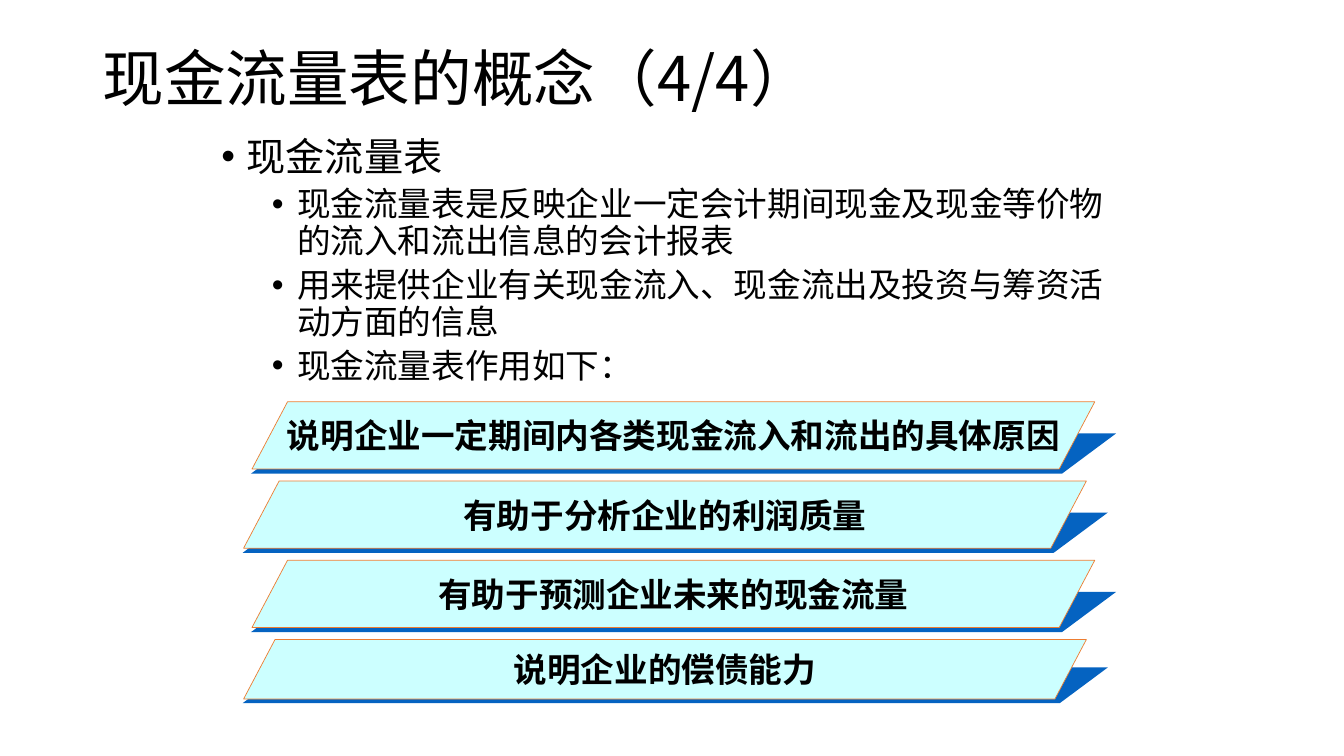
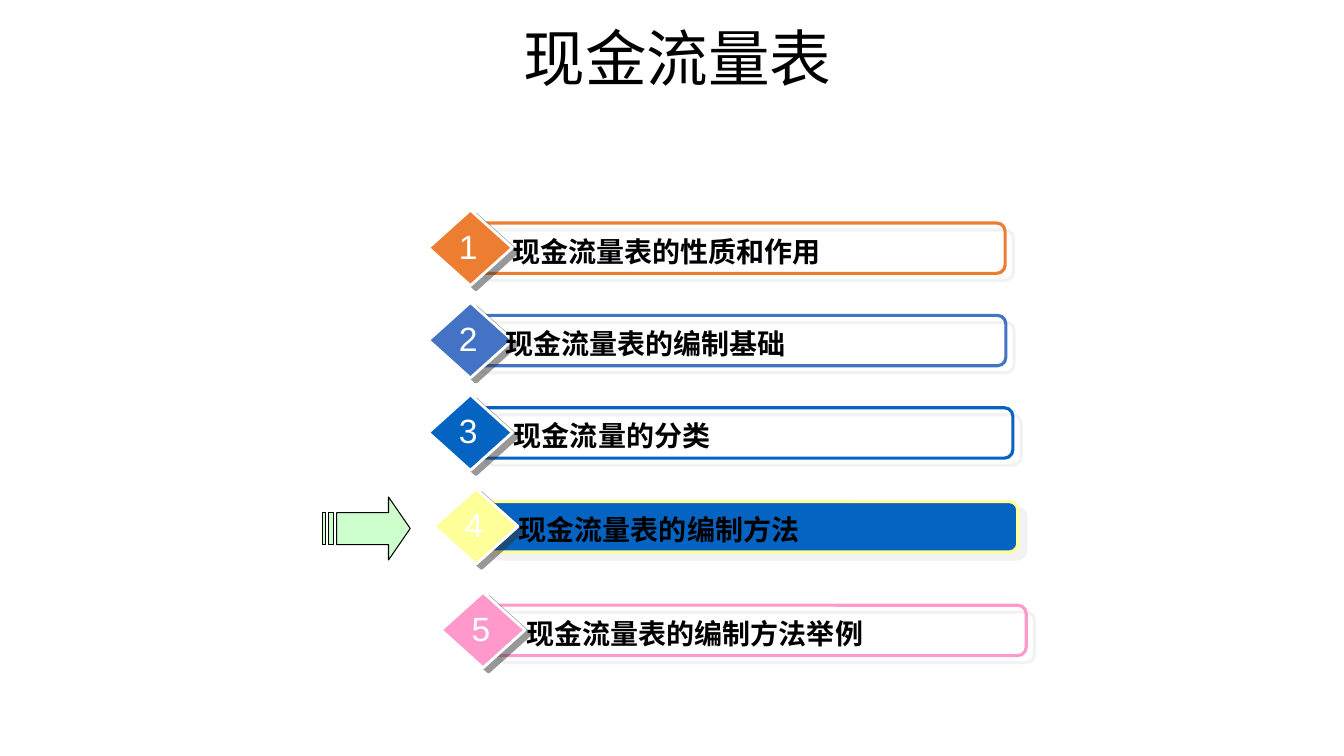
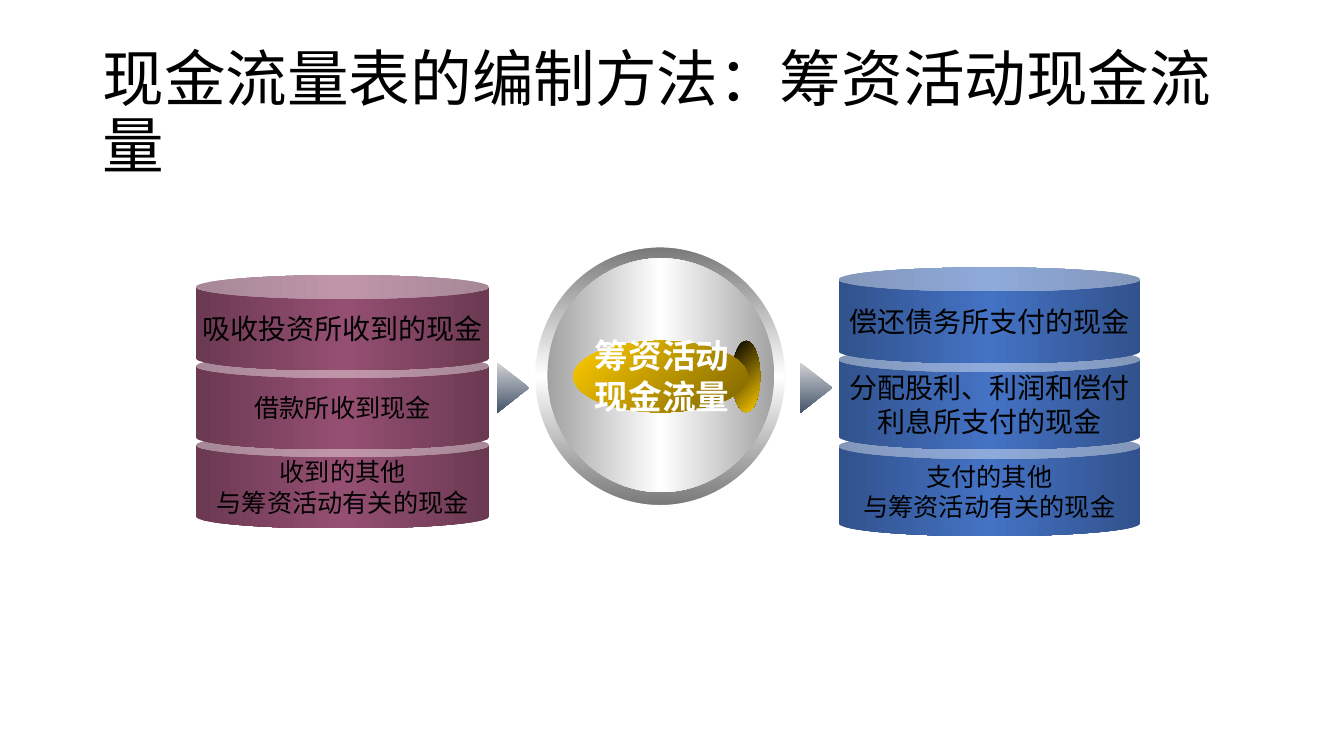
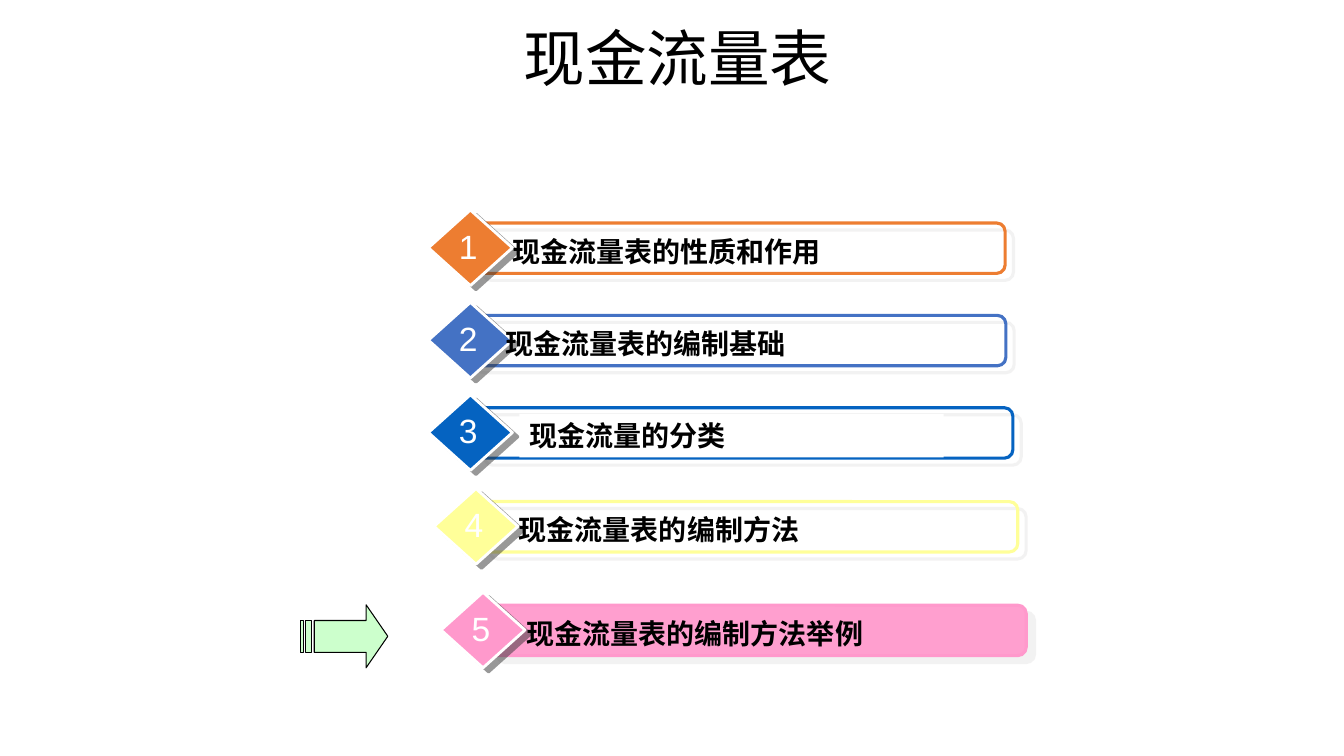
from lxml import etree
from pptx import Presentation
from pptx.dml.color import RGBColor
from pptx.enum import shapes, text
from pptx.oxml.ns import qn
from pptx.util import Pt

BLACK = RGBColor(0x00, 0x00, 0x00)
WHITE = RGBColor(0xFF, 0xFF, 0xFF)
ORANGE = RGBColor(0xED, 0x7D, 0x31)
BLUE = RGBColor(0x44, 0x72, 0xC4)
NAVY = RGBColor(0x31, 0x52, 0x8C)
DEEP_BLUE = RGBColor(0x05, 0x63, 0xC1)
YELLOW = RGBColor(0xFF, 0xFF, 0x99)
PINK = RGBColor(0xFF, 0x99, 0xCC)
BRIGHT_PINK = RGBColor(0xFF, 0x9F, 0xCF)
CYAN = RGBColor(0xCC, 0xFF, 0xFF)
MINT = RGBColor(0xCC, 0xFF, 0xCC)
PLUM = RGBColor(0x95, 0x4F, 0x72)
DARK_PLUM = RGBColor(0x6B, 0x39, 0x52)
SLATE = RGBColor(0x44, 0x54, 0x6A)
PALE_SLATE = RGBColor(0xD0, 0xD2, 0xD5)
GREY = RGBColor(0x76, 0x76, 0x76)
SILVER = RGBColor(0xA2, 0xA2, 0xA2)
GOLD = RGBColor(0xFF, 0xCC, 0x00)
DARK_GOLD = RGBColor(0x7C, 0x63, 0x00)
BAR_SHADOW = RGBColor(0xE7, 0xE6, 0xE6)
DIAMOND_SHADOW = RGBColor(0x33, 0x33, 0x33)

CJK = "Noto Sans CJK SC"
LATIN = "Arial"
KIND = shapes.MSO_SHAPE
CENTER = text.PP_ALIGN.CENTER
LEFT = text.PP_ALIGN.LEFT


def style(paragraph, size, color=BLACK, bold=False, align=CENTER, name=LATIN, leading=1.2):
    paragraph.alignment = align
    paragraph.line_spacing = Pt(round(size * leading, 1))
    paragraph.space_before = Pt(0)
    font = paragraph.font
    font.size = Pt(size)
    font.bold = bold
    font.color.rgb = color
    font.name = name
    etree.SubElement(paragraph._p.pPr.defRPr, qn("a:ea"), typeface=CJK)


def draw(slide, kind, box, fill=None, line=None, width=1, angle=0, shadow=None):
    shape = slide.shapes.add_shape(kind, *map(Pt, box))
    shape.shadow.inherit = False
    if fill is None:
        shape.fill.background()
    elif isinstance(fill, list):
        shape.fill.gradient()
        gradient = shape._element.spPr.find(qn("a:gradFill"))
        for child in list(gradient):
            gradient.remove(child)
        stops = etree.SubElement(gradient, qn("a:gsLst"))
        for i, color in enumerate(fill):
            stop = etree.SubElement(stops, qn("a:gs"), pos=str(100000 * i // (len(fill) - 1)))
            etree.SubElement(stop, qn("a:srgbClr"), val=str(color))
        etree.SubElement(gradient, qn("a:lin"), ang=str(angle * 60000), scaled="0")
    else:
        shape.fill.solid()
        shape.fill.fore_color.rgb = fill
    if line is None:
        shape.line.fill.background()
    else:
        shape.line.color.rgb = line
        shape.line.width = Pt(width)
    if shadow:
        color, distance, direction = shadow
        outer = etree.SubElement(
            shape._element.spPr.find(qn("a:effectLst")), qn("a:outerShdw"),
            dist=str(Pt(distance)), dir=str(direction * 60000), algn="ctr", rotWithShape="0")
        tint = etree.SubElement(outer, qn("a:srgbClr"), val=str(color))
        etree.SubElement(tint, qn("a:alpha"), val="50000")
    return shape


prs = Presentation()
prs.slide_width, prs.slide_height = Pt(960), Pt(540)
WIDE_TITLE = (66, 29, 828, 104)
AGENDA_TITLE = (160, 15, 648, 90)
TITLES = [
    ("现金流量表的概念（4/4）", WIDE_TITLE, LEFT, 1),
    ("现金流量表", AGENDA_TITLE, CENTER, 5),
    ("现金流量表的编制方法：筹资活动现金流量", WIDE_TITLE, LEFT, 5),
    ("现金流量表", AGENDA_TITLE, CENTER, 5),
]
slides = []
for heading, box, align, layout in TITLES:
    slide = prs.slides.add_slide(prs.slide_layouts[layout])
    title = slide.shapes.title
    title.left, title.top, title.width, title.height = map(Pt, box)
    frame = title.text_frame
    frame.text = heading
    frame.auto_size = text.MSO_AUTO_SIZE.NONE
    frame.vertical_anchor = text.MSO_ANCHOR.TOP
    style(frame.paragraphs[0], 44, align=align, name=CJK, leading=1.1)
    slides.append(slide)
concept, methods_agenda, financing, examples_agenda = slides

points = concept.placeholders[1]
points.left, points.top, points.width, points.height = Pt(151), Pt(94), Pt(648), Pt(385)
frame = points.text_frame
frame.auto_size = text.MSO_AUTO_SIZE.NONE
frame.text = "\n".join([
    "现金流量表",
    "现金流量表是反映企业一定会计期间现金及现金等价物的流入和流出信息的会计报表",
    "用来提供企业有关现金流入、现金流出及投资与筹资活动方面的信息",
    "现金流量表作用如下：",
])
for i, paragraph in enumerate(frame.paragraphs):
    paragraph.level = min(i, 1)
    properties = paragraph._p.get_or_add_pPr()
    properties.set("marL", str(Pt(54 if i else 18)))
    properties.set("indent", str(Pt(-18)))
    etree.SubElement(properties, qn("a:buFont"), typeface=LATIN)
    etree.SubElement(properties, qn("a:buChar"), char="•")
    style(paragraph, 24 if i else 28, align=LEFT, leading=1.1)
    if i:
        paragraph.space_before = Pt(5)

USES = [
    ("说明企业一定期间内各类现金流入和流出的具体原因", 180, 48),
    ("有助于分析企业的利润质量", 174, 48),
    ("有助于预测企业未来的现金流量", 180, 48),
    ("说明企业的偿债能力", 174, 42.5),
]
for i, (use, left, height) in enumerate(USES):
    top = 287 + 56.6 * i
    fold = draw(concept, KIND.PARALLELOGRAM,
                (left - 0.7, top + 0.47 * height, 618, 0.6 * height), DEEP_BLUE)
    fold.adjustments[0] = 1.345
    band = draw(concept, KIND.PARALLELOGRAM, (left, top, 602, height), CYAN, ORANGE, 0.5)
    band.adjustments[0] = 0.529
    frame = band.text_frame
    frame.margin_left = frame.margin_right = frame.margin_top = frame.margin_bottom = 0
    frame.word_wrap = False
    frame.vertical_anchor = text.MSO_ANCHOR.MIDDLE
    frame.text = use
    style(frame.paragraphs[0], 24, bold=True)

CHAPTERS = [
    ("现金流量表的性质和作用", ORANGE, 306, 150, 359, 718),
    ("现金流量表的编制基础", BLUE, 306, 216, 354, 718.5),
    ("现金流量的分类", DEEP_BLUE, 306, 282, 360, 723.5),
    ("现金流量表的编制方法", YELLOW, 310, 349, 363.5, 727),
    ("现金流量表的编制方法举例", PINK, 315, 423, 369, 733),
]
POINTER = [
    [(47, 0), (47, 11.25), (10, 11.25), (10, 34), (47, 34), (47, 45), (62.5, 22.5)],
    [(4, 11.25), (4, 34), (8, 34), (8, 11.25)],
    [(0, 11.25), (0, 34), (2, 34), (2, 11.25)],
]
AGENDAS = [
    (methods_agenda, 4, DEEP_BLUE, (230.5, 355), None),
    (examples_agenda, 5, BRIGHT_PINK, (214.5, 432), 3),
]
for slide, current, highlight, pointer_at, boxed in AGENDAS:
    for number, (chapter, color, left, top, label_left, right) in enumerate(CHAPTERS, 1):
        bar_left = label_left - 20
        draw(slide, KIND.ROUNDED_RECTANGLE, (bar_left, top + 9.3, right - bar_left, 36),
             highlight if number == current else None, color, 2.25,
             shadow=(BAR_SHADOW, 7.8, 40))
        draw(slide, KIND.DIAMOND, (left, top, 60, 54), color, WHITE, 2,
             shadow=(DIAMOND_SHADOW, 5, 37))
        label_box = (label_left + (11 if number == boxed else 0), top + 13.7, 303, 31)
        label = slide.shapes.add_textbox(*map(Pt, label_box))
        if number == boxed:
            label.fill.solid()
            label.fill.fore_color.rgb = WHITE
        label.text_frame.word_wrap = True
        label.text_frame.text = chapter
        style(label.text_frame.paragraphs[0], 20, bold=True, align=LEFT)
        digit = slide.shapes.add_textbox(Pt(left + 14.5), Pt(top + 7.5), Pt(28), Pt(36))
        digit.text_frame.word_wrap = False
        digit.text_frame.text = str(number)
        style(digit.text_frame.paragraphs[0], 24, WHITE)
    outline = slide.shapes.build_freeform(*map(Pt, POINTER[0][0]), scale=1.0)
    for i, part in enumerate(POINTER):
        vertices = [(Pt(x), Pt(y)) for x, y in part]
        if i:
            outline.move_to(*vertices[0])
        outline.add_line_segments(vertices[1:], close=True)
    pointer = outline.convert_to_shape(*map(Pt, pointer_at))
    pointer.shadow.inherit = False
    pointer.fill.solid()
    pointer.fill.fore_color.rgb = MINT
    pointer.line.color.rgb = BLACK
    pointer.line.width = Pt(0.75)

for left in (355, 571.5):
    arrow = draw(financing, KIND.ISOSCELES_TRIANGLE, (left - 6.5, 265.5, 36, 23),
                 [PALE_SLATE, SLATE])
    arrow.rotation = 90

draw(financing, KIND.OVAL, (380, 174.5, 183, 188.5), [GREY, WHITE, GREY], WHITE, 4.5, angle=90)
draw(financing, KIND.OVAL, (391, 184.5, 162, 167), [SILVER, WHITE, SILVER])
draw(financing, KIND.OVAL, (523, 243.5, 20, 51), [BLACK, GOLD], angle=45)
draw(financing, KIND.OVAL, (409.5, 243.5, 124.5, 51), [GOLD, DARK_GOLD], angle=45)
core = financing.shapes.add_textbox(Pt(417), Pt(236), Pt(112), Pt(65.5))
core.text_frame.word_wrap = False
core.text_frame.text = "筹资活动\n现金流量"
for paragraph in core.text_frame.paragraphs:
    style(paragraph, 24, WHITE, bold=True)

INFLOWS = [
    ("收到的其他\n与筹资活动有关的现金", 18, 309.5, 68),
    ("借款所收到现金", 18, 253, 68),
    ("吸收投资所收到的现金", 20, 196.5, 68),
]
OUTFLOWS = [
    ("支付的其他\n与筹资活动有关的现金", 18, 309.5, 73.5),
    ("分配股利、利润和偿付\n利息所支付的现金", 20, 247.5, 73.5),
    ("偿还债务所支付的现金", 20, 191, 68.5),
]
STACKS = [
    (INFLOWS, 140, 209.5, [DARK_PLUM, PLUM, DARK_PLUM]),
    (OUTFLOWS, 599, 215.5, [NAVY, BLUE, NAVY]),
]
for flows, left, width, colors in STACKS:
    for flow, size, top, height in flows:
        drum = draw(financing, KIND.CAN, (left, top, width, height), colors)
        frame = drum.text_frame
        frame.word_wrap = False
        frame.vertical_anchor = text.MSO_ANCHOR.MIDDLE
        frame.text = flow
        for paragraph in frame.paragraphs:
            style(paragraph, size)

prs.save("out.pptx")
